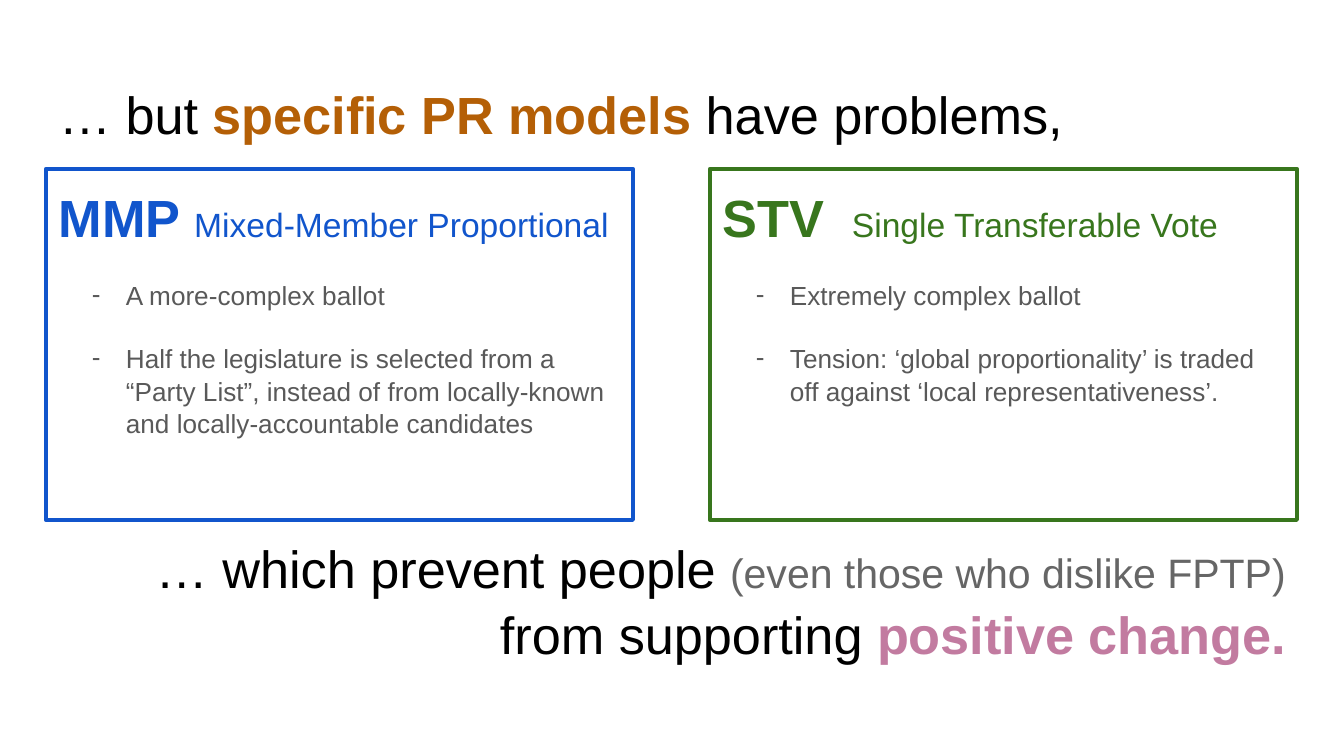
from lxml.etree import SubElement as Sub
from pptx import Presentation
from pptx.dml.color import RGBColor as Rgb
from pptx.enum.shapes import MSO_SHAPE as Kind
from pptx.enum.text import MSO_ANCHOR as Anchor, PP_ALIGN as Align
from pptx.oxml.ns import qn
from pptx.util import Pt

PX = 6804
INK = {"black": "000000", "brown": "B45F06", "blue": "1155CC", "green": "38761D",
       "gray": "595959", "ash": "666666", "pink": "C27BA0"}


def frame(shape):
    box = shape.text_frame
    box.word_wrap = True
    box.vertical_anchor = Anchor.TOP
    box.margin_left = box.margin_right = box.margin_top = box.margin_bottom = 13 * PX
    return box


def write(para, runs, align=Align.LEFT):
    para.alignment = align
    para.line_spacing = 1.05
    for text, size, ink, bold in runs:
        run = para.add_run()
        run.text = text
        font = run.font
        font.name, font.size, font.bold = "Arial", Pt(size), bold
        font.color.rgb = Rgb.from_string(INK[ink])


deck = Presentation()
deck.slide_width, deck.slide_height = 1344 * PX, 756 * PX
slide = deck.slides.add_slide(deck.slide_layouts[6])

titles = [
    (66, 85, Align.LEFT, [
        ("… but ", 28, "black", False),
        ("specific PR models", 28, "brown", True),
        (" have problems,", 28, "black", False)]),
    (520, 180, Align.RIGHT, [
        ("… which prevent people ", 28, "black", False),
        ("(even those who dislike FPTP)", 22, "ash", False),
        (" from supporting ", 28, "black", False),
        ("positive change.", 28, "pink", True)]),
]
for top, high, align, runs in titles:
    title = slide.shapes.add_textbox(46 * PX, top * PX, 1253 * PX, high * PX)
    write(frame(title).paragraphs[0], runs, align)

models = [
    (46, "blue", "MMP ", "Mixed-Member Proportional", [
        "A more-complex ballot",
        "Half the legislature is selected from a “Party List”, instead of from "
        "locally-known and locally-accountable candidates"]),
    (710, "green", "STV\t", "Single Transferable Vote", [
        "Extremely complex ballot",
        "Tension: ‘global proportionality’ is traded off against "
        "‘local representativeness’."]),
]
for left, ink, short, name, points in models:
    card = slide.shapes.add_shape(Kind.RECTANGLE, left * PX, 169 * PX, 587 * PX, 351 * PX)
    card.shadow.inherit = False
    card.fill.background()
    card.line.color.rgb = Rgb.from_string(INK[ink])
    card.line.width = Pt(2.25)
    box = frame(card)
    head = box.paragraphs[0]
    head.space_after = Pt(16)
    tabs = Sub(head._p.get_or_add_pPr(), qn("a:tabLst"))
    Sub(tabs, qn("a:tab"), pos=str(129 * PX), algn="l")
    write(head, [(short, 28, ink, True), (name, 18, ink, False)])
    for point in points:
        para = box.add_paragraph()
        para.space_after = Pt(16)
        props = para._p.get_or_add_pPr()
        props.set("marL", str(67 * PX))
        props.set("indent", str(-34 * PX))
        tint = Sub(props, qn("a:buClr"))
        Sub(tint, qn("a:srgbClr"), val=INK["gray"])
        Sub(props, qn("a:buFont"), typeface="Arial")
        Sub(props, qn("a:buChar"), char="-")
        write(para, [(point, 14, "gray", False)])

deck.save("out.pptx")
